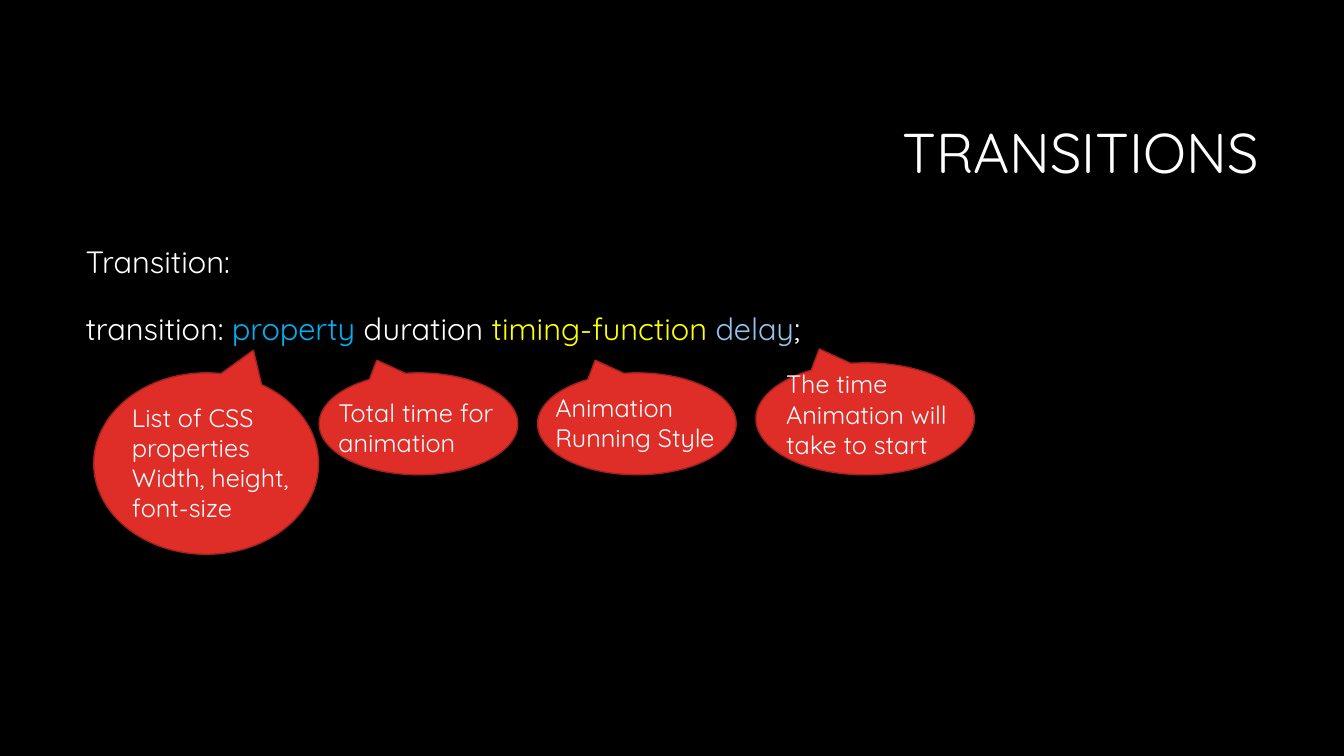
import pptx
import pptx.util
import pptx.dml.color
import pptx.enum.shapes
import pptx.enum.text

RGBColor = pptx.dml.color.RGBColor
Pt = pptx.util.Pt

BLACK = RGBColor(0x00, 0x00, 0x00)
WHITE = RGBColor(0xFF, 0xFF, 0xFF)
RED = RGBColor(0xDF, 0x2E, 0x28)
DARK_RED = RGBColor(0xA5, 0x22, 0x1E)
BLUE = RGBColor(0x00, 0xB0, 0xF0)
YELLOW = RGBColor(0xFF, 0xFF, 0x00)
PALE_BLUE = RGBColor(0x92, 0xC3, 0xEA)

FONT = "Quicksand"
WIDTH = pptx.util.Inches(13.33)
HEIGHT = pptx.util.Inches(7.5)

# Syntax words with their colours
SYNTAX = [
    ("transition: ", WHITE),
    ("property", BLUE),
    (" duration ", WHITE),
    ("timing-function ", YELLOW),
    ("delay", PALE_BLUE),
    (";", WHITE),
]

# Bubble area, tip side (1 right, -1 left), label area, label lines
CALLOUTS = [
    ((6.98, 49.33, 16.73, 24), 1, (9.08, 52.53, 14.25, 17.47),
     ["List of CSS", "properties", "Width, height,", "font-size"]),
    ((23.75, 49.33, 14.78, 13.47), -1, (24.45, 51.87, 13.35, 9.47),
     ["Total time for", "animation"]),
    ((40, 49.33, 14.78, 13.47), -1, (40.58, 51.2, 14.25, 9.47),
     ["Animation", "Running Style"]),
    ((56.25, 48, 16.25, 14.8), -1, (57.75, 48.13, 16.12, 13.47),
     ["The time", "Animation will", "take to start"]),
]


def place(area):
    """Turn left, top, width, height in percent of the slide into lengths."""
    return [int(share * side / 100)
            for share, side in zip(area, (WIDTH, HEIGHT, WIDTH, HEIGHT))]


def style(paragraph, size, line_spacing=1.0):
    paragraph.font.name = FONT
    paragraph.font.size = Pt(size)
    paragraph.line_spacing = line_spacing


def add_text(slide, area, lines, size, line_spacing=1.0):
    """Add a text box; each line is a list of (words, colour)."""
    frame = slide.shapes.add_textbox(*place(area)).text_frame
    frame.word_wrap = True
    for index, line in enumerate(lines):
        paragraph = frame.add_paragraph() if index else frame.paragraphs[0]
        style(paragraph, size, line_spacing)
        for words, colour in line:
            run = paragraph.add_run()
            run.text = words
            run.font.color.rgb = colour
    return frame


def add_callout(slide, bubble_area, tip_side, label_area, label):
    bubble = slide.shapes.add_shape(
        pptx.enum.shapes.MSO_SHAPE.OVAL_CALLOUT, *place(bubble_area))
    bubble.adjustments[0] = 0.21 * tip_side
    bubble.adjustments[1] = -0.625
    bubble.shadow.inherit = False
    bubble.fill.solid()
    bubble.fill.fore_color.rgb = RED
    bubble.line.color.rgb = DARK_RED
    bubble.line.width = Pt(1)
    add_text(slide, label_area, [[(line, WHITE)] for line in label], 18)


def main():
    deck = pptx.Presentation()
    deck.slide_width, deck.slide_height = WIDTH, HEIGHT
    slide = deck.slides.add_slide(deck.slide_layouts[6])
    slide.background.fill.solid()
    slide.background.fill.fore_color.rgb = BLACK

    # Title
    title = add_text(slide, (23.75, 11.2, 70.65, 18.8),
                     [[("TRANSITIONS", WHITE)]], 40, 0.9)
    title.vertical_anchor = pptx.enum.text.MSO_ANCHOR.MIDDLE
    title.paragraphs[0].alignment = pptx.enum.text.PP_ALIGN.RIGHT

    # Syntax of the shorthand
    syntax = add_text(slide, (5.63, 32, 88.7, 58.7),
                      [[("Transition:", WHITE)], SYNTAX], 22, 0.9)
    syntax.paragraphs[1].space_before = Pt(24)

    # Explanations
    for callout in CALLOUTS:
        add_callout(slide, *callout)

    deck.save("out.pptx")


if __name__ == "__main__":
    main()
